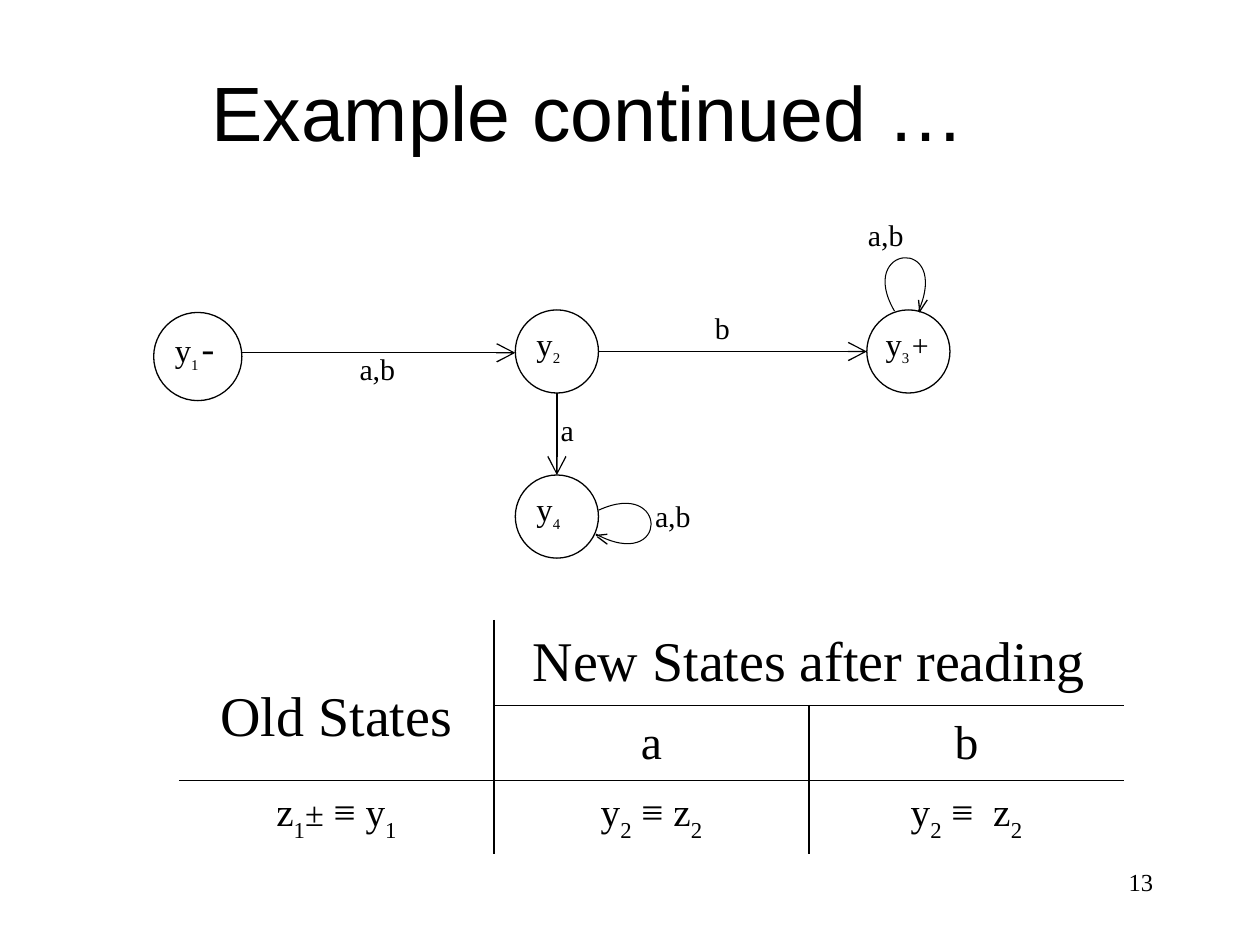
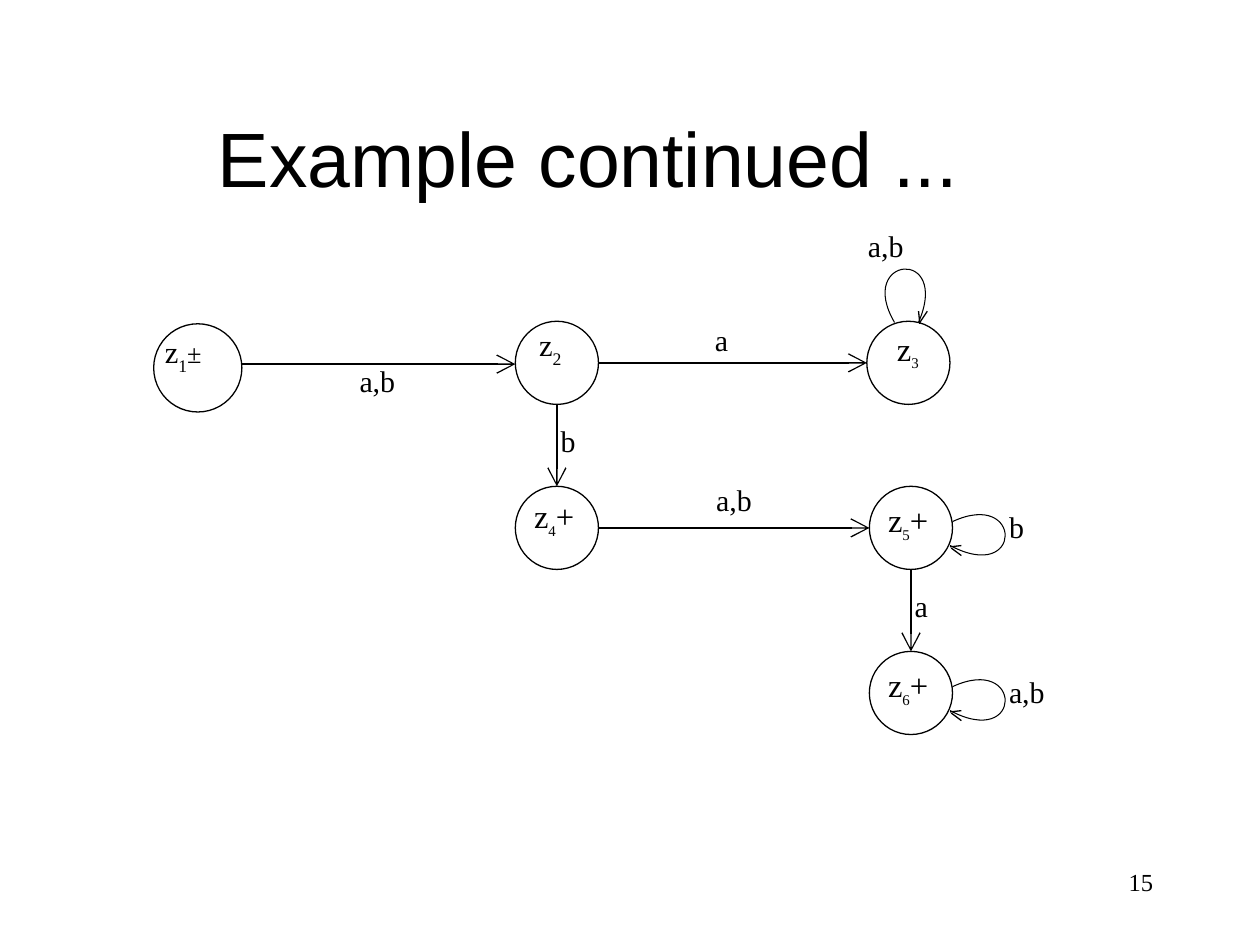
import collections
import lxml.etree
import pptx
import pptx.dml.color
import pptx.enum.shapes
import pptx.enum.text
import pptx.oxml.ns
import pptx.util

INK = pptx.dml.color.RGBColor(0, 0, 0)
PAPER = pptx.dml.color.RGBColor(255, 255, 255)
SERIF, SANS, DASH = "Times New Roman", "Arial", "Cabin"
LEFT, MID, RIGHT = (getattr(pptx.enum.text.PP_ALIGN, a) for a in ("LEFT", "CENTER", "RIGHT"))

# State grid in inches: column centres, row step, radii
COLS = (1.57, 4.42, 7.21, 7.23)
STEP = 1.31
RAD, BIG = 0.33, 0.35

# Self loops: start, two control points and end, from the state's centre
LOOPS = {
    "top": ((-0.11, -0.32), (-0.42, -0.85), (0.34, -0.92), (0.08, -0.32)),
    "side": ((0.33, -0.05), (0.89, -0.31), (0.89, 0.45), (0.31, 0.14)),
}
# The two strokes of each loop's arrowhead
BARBS = {
    "top": (((0.09, -0.32), (0.15, -0.41)), ((0.08, -0.41), (0.09, -0.31))),
    "side": (((0.32, 0.16), (0.4, 0.22)), ((0.4, 0.14), (0.31, 0.15))),
}
TAGS = {"top": (-0.42, -1.12), "side": (0.68, -0.2)}

NO_STYLE = "{2D5ABB26-0587-4C30-8999-92F81FD0307C}"
EDGES = (("RB", "LB", "B"), ("RB", "LTRB", "LTB"), ("TR", "LTR", "LT"))

State = collections.namedtuple("State", "x y rad")
inch = pptx.util.Inches


def part(words, size, low=False, face=SERIF):
    """One run of text; low makes it a subscript."""
    return words, size, low, face


def name(sign, num, *rest, size=18.6, sub=14.7):
    """A state's name with its number as a subscript."""
    return [part(sign, size), part(num, sub, True), *rest]


def write(para, runs, align=LEFT):
    para.alignment = align
    para.font.color.rgb = INK
    for words, size, low, face in runs:
        run = para.add_run()
        run.text = words
        run.font.size = pptx.util.Pt(size)
        run.font.name = face
        run.font.color.rgb = INK
        if low:
            run.font._element.set("baseline", "-30000")


def text(slide, x, y, wide, high, runs, align=LEFT, centre=False):
    frame = slide.shapes.add_textbox(inch(x), inch(y), inch(wide), inch(high)).text_frame
    frame.word_wrap = True
    if centre:
        frame.vertical_anchor = pptx.enum.text.MSO_ANCHOR.MIDDLE
    write(frame.paragraphs[0], runs, align)


def tag(slide, x, y, words):
    text(slide, x, y, 1.01, 0.41, [part(words, 17.1)])


def pen(shape, width=0.75):
    shape.line.color.rgb = INK
    shape.line.width = pptx.util.Pt(width)


def frame(deck, title, page, drop=0):
    """A blank slide with its title and page number."""
    slide = deck.slides.add_slide(deck.slide_layouts[6])
    text(slide, 0.42, 0.25 + drop, 8.5, 1.25, [part(title, 44, face=SANS)], MID, True)
    text(slide, 7.17, 6.83, 2.08, 0.5, [part(page, 14)], RIGHT)
    return slide


def state(slide, col, y, runs, dx, dy, rad=RAD):
    """A circle and its name, the latter offset from the centre."""
    x = COLS[col]
    ring = slide.shapes.add_shape(pptx.enum.shapes.MSO_SHAPE.OVAL, inch(x - rad),
                                  inch(y - rad), inch(2 * rad), inch(2 * rad))
    ring.shadow.inherit = False
    ring.fill.solid()
    ring.fill.fore_color.rgb = PAPER
    pen(ring)
    text(slide, x + dx, y + dy, 0.8, 0.46, runs)
    return State(x, y, rad)


def arrow(slide, x1, y1, x2, y2):
    line = slide.shapes.add_connector(pptx.enum.shapes.MSO_CONNECTOR.STRAIGHT,
                                      inch(x1), inch(y1), inch(x2), inch(y2))
    pen(line)
    lxml.etree.SubElement(line.line._get_or_add_ln(), pptx.oxml.ns.qn("a:tailEnd"),
                          type="arrow", w="lg", len="lg")
    lxml.etree.SubElement(line._element.spPr, pptx.oxml.ns.qn("a:effectLst"))


def across(slide, a, b, words, rise=-0.38):
    y = (a.y + 3 * b.y) / 4
    arrow(slide, a.x + a.rad, y, b.x - b.rad, y)
    tag(slide, (a.x + b.x) / 2 - 0.24, b.y + rise, words)


def down(slide, a, b, words):
    arrow(slide, a.x, a.y + a.rad, b.x, b.y - b.rad)
    tag(slide, a.x - 0.07, (a.y + b.y) / 2 - 0.23, words)


def track(slide, at, steps, width=0.75):
    """An open outline through steps from a state's centre."""
    pts = [(inch(at.x + dx), inch(at.y + dy)) for dx, dy in steps]
    form = slide.shapes.build_freeform(*pts[0])
    form.add_line_segments(pts[1:], close=False)
    shape = form.convert_to_shape()
    shape.shadow.inherit = False
    shape.fill.background()
    pen(shape, width)
    return shape


def loop(slide, at, kind, words):
    """A curve from a state back to itself."""
    curve = track(slide, at, LOOPS[kind], 0.6)
    # Turn the three segments into one Bézier curve
    legs = list(curve._element.iter(pptx.oxml.ns.qn("a:lnTo")))
    route = legs[0].getparent()
    bend = lxml.etree.SubElement(route, pptx.oxml.ns.qn("a:cubicBezTo"))
    for leg in legs:
        bend.append(leg[0])
        route.remove(leg)
    for barb in BARBS[kind]:
        track(slide, at, barb)
    dx, dy = TAGS[kind]
    tag(slide, at.x + dx, at.y + dy, words)


def rule(cell, sides):
    """Draw the named sides of a cell and clear the others."""
    cell.fill.background()
    cell.margin_top = inch(0.09)
    props = cell._tc.get_or_add_tcPr()
    for spot, side in enumerate("LRTB"):
        edge = lxml.etree.Element(pptx.oxml.ns.qn("a:ln" + side), w="12700")
        props.insert(spot, edge)
        if side in sides:
            fill = lxml.etree.SubElement(edge, pptx.oxml.ns.qn("a:solidFill"))
            lxml.etree.SubElement(fill, pptx.oxml.ns.qn("a:srgbClr"), val=str(INK))
        else:
            lxml.etree.SubElement(edge, pptx.oxml.ns.qn("a:noFill"))


def moves(slide, x, y):
    """Table of old states and the new states they lead to."""
    wide, highs = 2.5, (0.68, 0.58, 0.58)
    grid = slide.shapes.add_table(3, 3, inch(x), inch(y), inch(3 * wide), inch(sum(highs))).table
    grid._tbl.tblPr.find(pptx.oxml.ns.qn("a:tableStyleId")).text = NO_STYLE
    grid.first_row = grid.horz_banding = False
    for col in grid.columns:
        col.width = inch(wide)
    for row, high in zip(grid.rows, highs):
        row.height = inch(high)
    for r, line in enumerate(EDGES):
        for c, sides in enumerate(line):
            rule(grid.cell(r, c), sides)
    old = grid.cell(0, 0)
    old.merge(grid.cell(1, 0))
    grid.cell(0, 1).merge(grid.cell(0, 2))

    # Tight line and low anchor, so that the tall cell keeps its rows' heights
    old.vertical_anchor = pptx.enum.text.MSO_ANCHOR.BOTTOM
    old.margin_top, old.margin_bottom = 0, inch(0.25)
    old.text_frame.paragraphs[0].line_spacing = pptx.util.Pt(20)

    def pair(gap):
        return [part("y", 22.4), part("2", 22.4, True), part(gap, 22.4), part("2", 22.4, True)]

    cells = {
        (0, 0): [part("Old States", 32)],
        (0, 1): [part("New States after reading", 32)],
        (1, 1): [part("a", 27.2)],
        (1, 2): [part("b", 27.2)],
        (2, 0): name("z", "1", part("±", 19.6), part(" ≡ y", 22.4),
                     part("1", 22.4, True), size=22.4, sub=22.4),
        (2, 1): pair(" ≡ z"),
        (2, 2): pair(" ≡  z"),
    }
    for spot, runs in cells.items():
        write(grid.cell(*spot).text_frame.paragraphs[0], runs, MID)


def first(deck):
    slide = frame(deck, "Example continued …", "13")
    top, gap = 2.79, part(" ", 10.1, True)
    y1 = state(slide, 0, top + 0.04, name("y", "1", gap, part("-", 18.6, face=DASH)),
               -0.28, -0.26, BIG)
    y2 = state(slide, 1, top, name("y", "2"), -0.26, -0.27)
    y3 = state(slide, 2, top, name("y", "3", gap, part("+", 17.1)), -0.28, -0.27)
    y4 = state(slide, 1, top + STEP, name("y", "4"), -0.26, -0.27)
    across(slide, y1, y2, "a,b", -0.06)
    across(slide, y2, y3, "b")
    down(slide, y2, y4, "a")
    loop(slide, y3, "top", "a,b")
    loop(slide, y4, "side", "a,b")
    moves(slide, 1.42, 4.92)


def second(deck):
    slide = frame(deck, "Example continued ...", "15", 0.37)
    top, plus = 2.88, part("+", 18.6)
    z1 = state(slide, 0, top + 0.04, name("z", "1", part("±", 15), size=17.5, sub=17.5),
               -0.36, -0.33, BIG)
    z2 = state(slide, 1, top, name("z", "2", size=17.5, sub=17.5), -0.24, -0.34)
    z3 = state(slide, 2, top, name("z", "3"), -0.19, -0.32)
    z4, z5, z6 = (state(slide, col, top + row * STEP, name("z", num, plus), -0.28, dy)
                  for num, col, row, dy in (("4", 1, 1, -0.3), ("5", 3, 1, -0.27),
                                            ("6", 3, 2, -0.27)))
    across(slide, z1, z2, "a,b", -0.05)
    across(slide, z2, z3, "a")
    across(slide, z4, z5, "a,b", -0.42)
    down(slide, z2, z4, "b")
    down(slide, z5, z6, "a")
    loop(slide, z3, "top", "a,b")
    loop(slide, z5, "side", "b")
    loop(slide, z6, "side", "a,b")


def main():
    deck = pptx.Presentation()
    deck.slide_width, deck.slide_height = inch(10), inch(7.5)
    first(deck)
    second(deck)
    deck.save("out.pptx")


if __name__ == "__main__":
    main()
